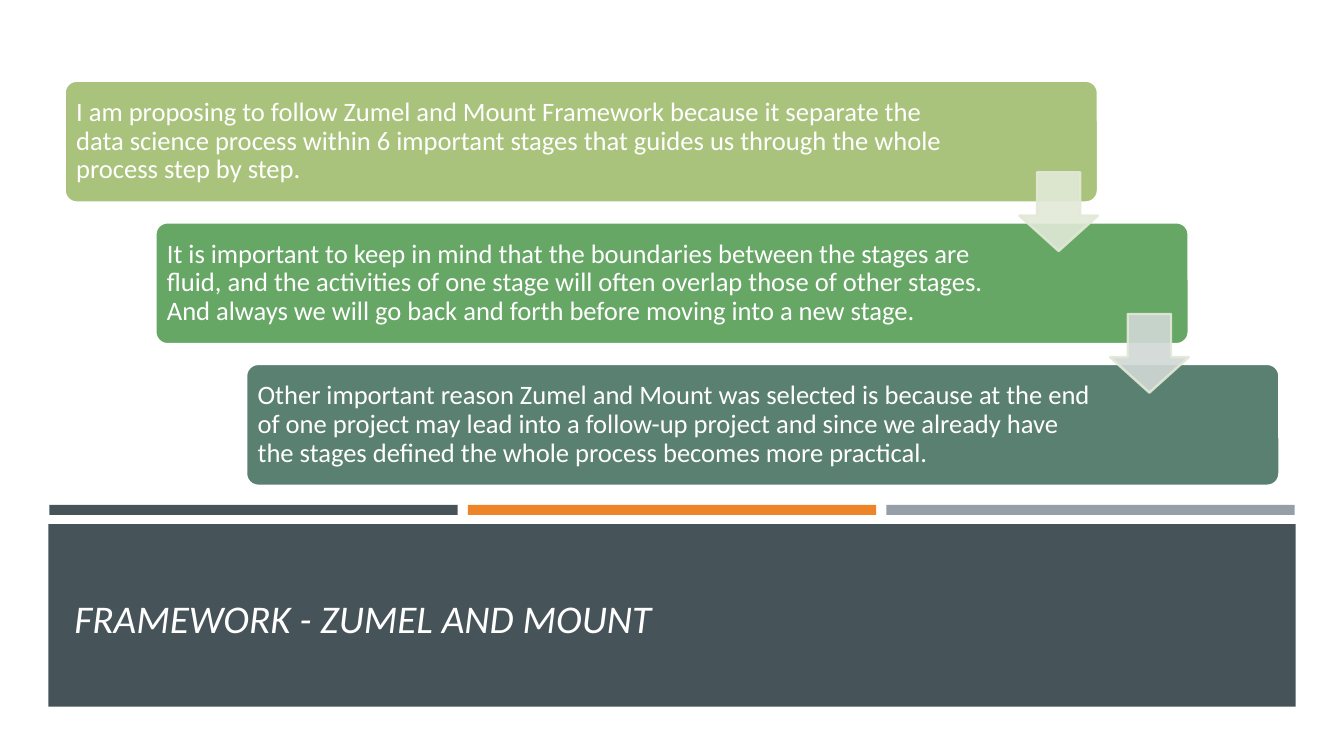
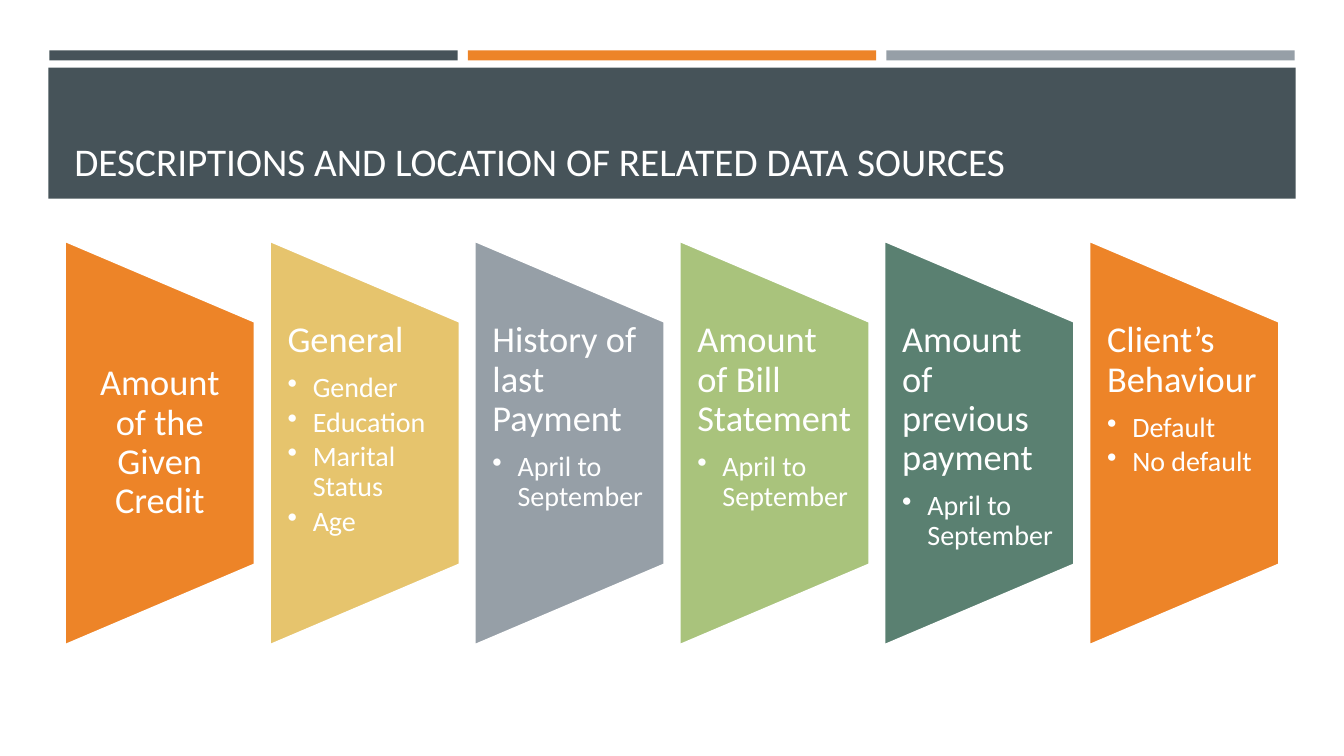
"""Build two slides: a framework rationale and the related data sources."""
from lxml.etree import SubElement
from pptx import Presentation
from pptx.dml.color import RGBColor
from pptx.enum.shapes import MSO_SHAPE as Shape
from pptx.enum.text import MSO_ANCHOR as Anchor, PP_ALIGN as Align
from pptx.oxml.ns import qn
from pptx.util import Inches, Pt

FONT = "Calibri"
WHITE, SLATE, ORANGE, GREY = "FFFFFF", "465359", "ED8428", "969FA7"
LIME, GREEN, TEAL, SAND = "A9C37C", "66A765", "5A8071", "E6C46D"
ARROW_EDGE = "E2E9D7"
SLIDE_W, SLIDE_H = 13.33, 7.5
BODY_LEFT, BODY_RIGHT = 0.64, 12.69

STRIPES = [SLATE, ORANGE, GREY]
STEPS = [
    (LIME, 1.31, "I am proposing to follow Zumel and Mount Framework because it separate the "
     "data science process within 6 important stages that guides us through the whole "
     "process step by step."),
    (GREEN, 1.77, "It is important to keep in mind that the boundaries between the stages are "
     "fluid, and the activities of one stage will often overlap those of other stages. "
     "And always we will go back and forth before moving into a new stage."),
    (TEAL, 1.77, "Other important reason Zumel and Mount was selected is because at the end "
     "of one project may lead into a follow-up project and since we already have "
     "the stages defined the whole process becomes more practical."),
]
ARROW_FILLS = ["E2E9D7", "D1D8D5"]
SOURCES = [
    (ORANGE, "Amount of the Given Credit", []),
    (SAND, "General", ["Gender", "Education", "Marital Status", "Age"]),
    (GREY, "History of last Payment", ["April to September"]),
    (LIME, "Amount of Bill Statement", ["April to September"]),
    (TEAL, "Amount of previous payment", ["April to September"]),
    (ORANGE, "Client’s Behaviour", ["Default", "No default"]),
]


def rgb(value):
    return RGBColor.from_string(value)


def add_block(slide, kind, box, fill, line=None, line_width=1.75):
    block = slide.shapes.add_shape(kind, *map(Inches, box))
    block.shadow.inherit = False
    block.fill.solid()
    block.fill.fore_color.rgb = rgb(fill)
    if line:
        block.line.color.rgb = rgb(line)
        block.line.width = Pt(line_width)
    else:
        block.line.fill.background()
    return block


def set_frame(frame, anchor, left, top, right, bottom):
    frame.word_wrap = True
    frame.vertical_anchor = anchor
    frame.margin_left, frame.margin_top = Inches(left), Inches(top)
    frame.margin_right, frame.margin_bottom = Inches(right), Inches(bottom)


def write(paragraph, text, size, align=Align.LEFT, spacing=0.9, after=0, italic=False):
    paragraph.text = text
    paragraph.alignment = align
    paragraph.line_spacing = spacing
    paragraph.space_after = Pt(after)
    font = paragraph.font
    font.name, font.size, font.italic = FONT, Pt(size), italic
    font.color.rgb = rgb(WHITE)


def add_bullet(paragraph, indent=0.25):
    properties = paragraph._p.get_or_add_pPr()
    properties.set("marL", str(Inches(indent)))
    properties.set("indent", str(-Inches(indent)))
    SubElement(properties, qn("a:buChar")).set("char", "•")


def set_opacity(color_format, percent):
    for color in color_format.iter(qn("a:srgbClr")):
        SubElement(color, qn("a:alpha")).set("val", str(percent * 1000))


def add_header(slide, title, stripe_top, band_top, band_height, title_top, italic=False):
    add_block(slide, Shape.RECTANGLE, (0.48, band_top, 12.37, band_height), SLATE)
    for column, color in enumerate(STRIPES):
        add_block(slide, Shape.RECTANGLE, (0.49 + 4.15 * column, stripe_top, 4.05, 0.1), color)
    box = slide.shapes.add_textbox(*map(Inches, (BODY_LEFT, title_top, 12.06, 1.11)))
    set_frame(box.text_frame, Anchor.BOTTOM, 0.1, 0.05, 0.1, 0.05)
    write(box.text_frame.paragraphs[0], title, 28, spacing=1.0, italic=italic)


def add_steps(slide):
    width, height, top, arrow = 10.25, 1.21, 0.8, 0.78
    shift = (BODY_RIGHT - BODY_LEFT - width) / (len(STEPS) - 1)
    drop = 1.405
    for row, (color, right_margin, text) in enumerate(STEPS):
        box = (BODY_LEFT + shift * row, top + drop * row, width, height)
        step = add_block(slide, Shape.ROUNDED_RECTANGLE, box, color, WHITE)
        step.adjustments[0] = 0.1
        set_frame(step.text_frame, Anchor.MIDDLE, 0.08, 0.08, right_margin, 0.08)
        write(step.text_frame.paragraphs[0], text, 19)
    for row, color in enumerate(ARROW_FILLS):
        left = BODY_LEFT + shift * row + width - arrow
        box = (left, top + drop * row + height - 0.3, arrow, arrow)
        pointer = add_block(slide, Shape.DOWN_ARROW, box, color, ARROW_EDGE)
        pointer.adjustments[0], pointer.adjustments[1] = 0.55, 0.45
        set_opacity(pointer._element.spPr, 90)


def add_sources(slide):
    width, height, middle, text_height = 1.89, 4.02, 4.395, 2.41
    pitch = (BODY_RIGHT - BODY_LEFT - width) / (len(SOURCES) - 1)
    for column, (color, heading, items) in enumerate(SOURCES):
        left = BODY_LEFT + pitch * column
        box = (left + (width - height) / 2, middle - width / 2, height, width)
        panel = add_block(slide, Shape.FLOWCHART_MANUAL_OPERATION, box, color, WHITE, 2)
        panel.rotation = 270
        label = slide.shapes.add_textbox(
            *map(Inches, (left, middle - text_height / 2, width, text_height)))
        frame = label.text_frame
        set_frame(frame, Anchor.TOP if items else Anchor.MIDDLE, 0.18, 0, 0.18, 0)
        write(frame.paragraphs[0], heading, 26, Align.LEFT if items else Align.CENTER,
              after=9.1 if items else 0)
        for item in items:
            entry = frame.add_paragraph()
            entry.level = 1
            add_bullet(entry)
            write(entry, item, 20, after=3)


def main():
    deck = Presentation()
    deck.slide_width, deck.slide_height = Inches(SLIDE_W), Inches(SLIDE_H)
    blank = deck.slide_layouts[6]

    framework = deck.slides.add_slide(blank)
    add_header(framework, "FRAMEWORK - ZUMEL AND MOUNT", 5.01, 5.2, 1.81, 5.3, italic=True)
    add_steps(framework)

    sources = deck.slides.add_slide(blank)
    add_header(sources, "DESCRIPTIONS AND LOCATION OF RELATED DATA SOURCES", 0.5, 0.67, 1.3, 0.77)
    add_sources(sources)

    deck.save("out.pptx")


if __name__ == "__main__":
    main()
